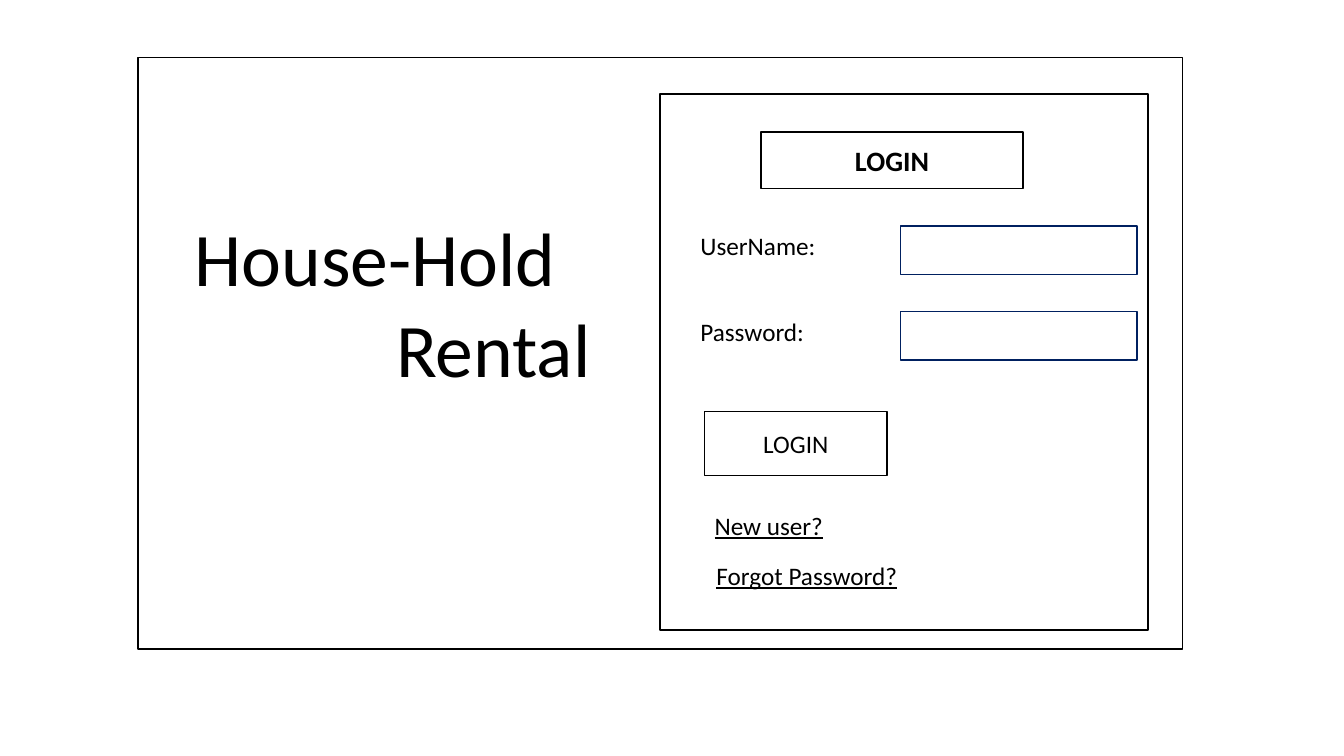
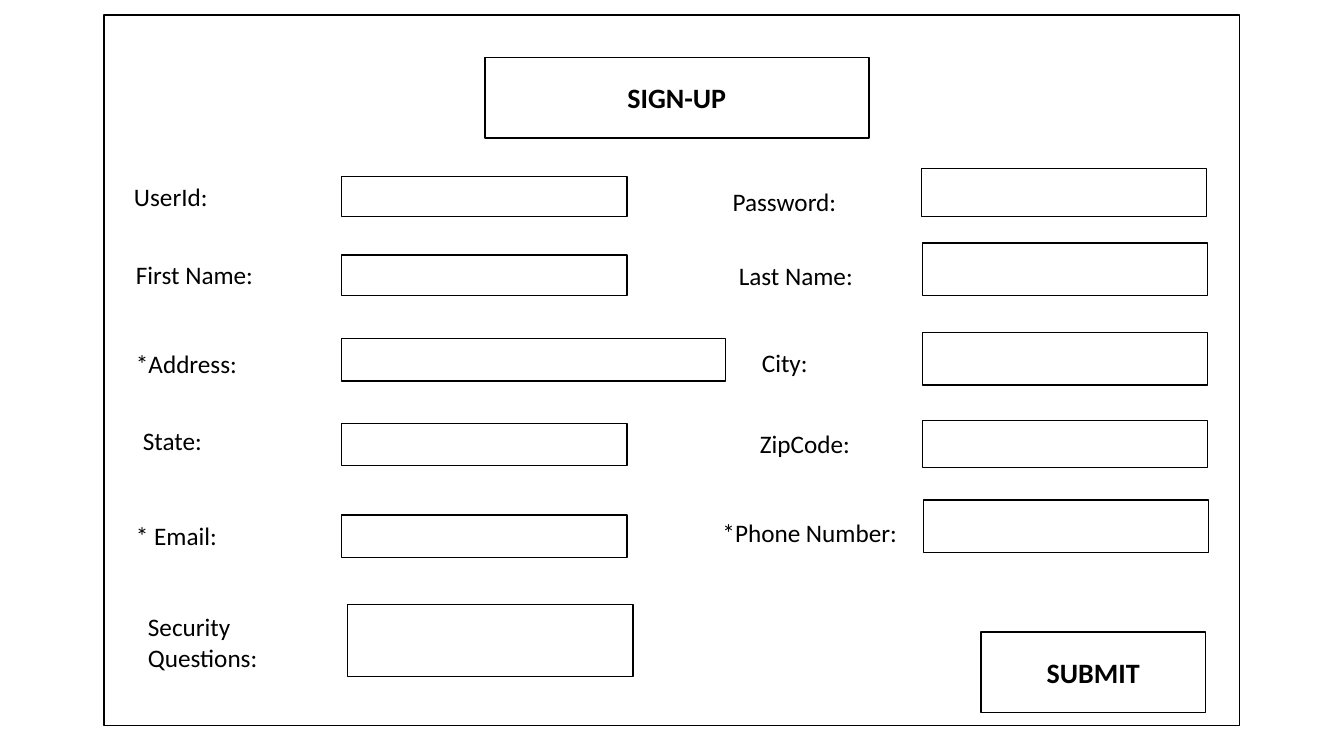
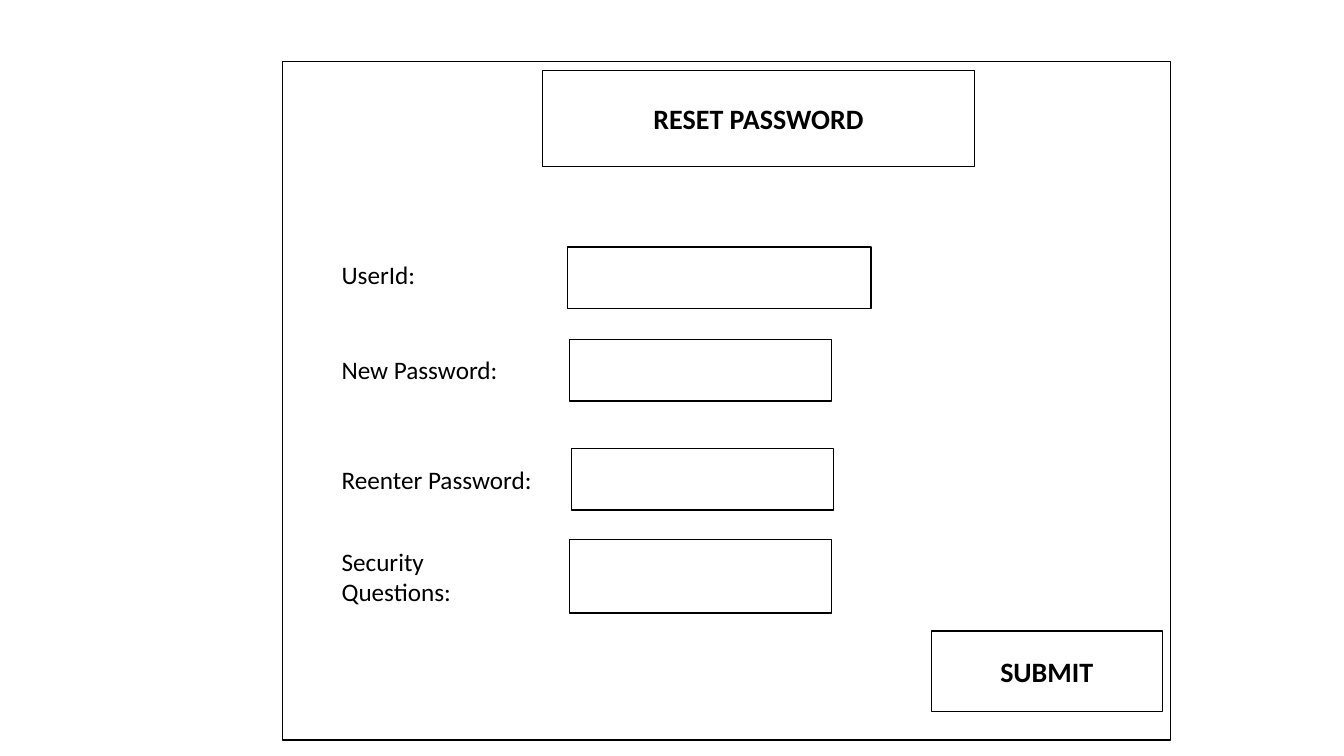
from pptx import Presentation
from pptx.dml.color import RGBColor
from pptx.enum.shapes import MSO_SHAPE
from pptx.enum.text import MSO_ANCHOR, MSO_AUTO_SIZE, PP_ALIGN
from pptx.util import Pt

# Shared look
FONT, BLACK, WHITE, NAVY = "Calibri", "000000", "FFFFFF", "002060"
BODY = {"size": Pt(18), "bold": False}
LINK = {**BODY, "underline": True}
HEADING = {"size": Pt(20), "bold": True}
DISPLAY = {"size": Pt(54), "bold": False}
LABEL_H = 28.8

# Content: rectangles are (left, top, width, height) in points;
# a field is (label, (left, top, width), input box)
SLIDES = [
    {
        "frames": [(98.6, 41, 746, 422.6), (471.6, 67, 348.5, 383)],
        "title": (["House-Hold", "Rental"], (131.8, 146.9, 297.4, 138.2)),
        "input_line": NAVY,
        "fields": [
            (label, (493.2, y, 132.5), (643, y, 169.2, 34.6))
            for label, y in [("UserName:", 161.3), ("Password:", 222.5)]
        ],
        "buttons": [
            ("LOGIN", (543.6, 94.3, 187.2, 40.3), HEADING),
            ("LOGIN", (503.3, 293.8, 130.3, 46.1), BODY),
        ],
        "links": [
            ("New user?", (503.3, 360.7, 164.2)),
            ("Forgot Password?", (504.7, 396.7, 152)),
        ],
    },
    {
        "frames": [(74.2, 10.8, 811.4, 507.6)],
        "title": (["SIGN-UP"], (346.3, 41, 274.3, 57.6)),
        "fields": [
            ("UserId:", (88.6, 126, 123.8), (244.1, 126, 203.8, 28.8)),
            ("First Name:", (90, 181.4, 123.8), (244.1, 182.2, 203.8, 28.8)),
            ("*Address:", (90, 245.5, 123.8), (244.1, 241.9, 274.3, 30.2)),
            ("State:", (95, 300.2, 123.8), (244.1, 302.4, 203.8, 30.2)),
            ("* Email:", (90, 367.9, 123.8), (244.1, 367.9, 203.8, 30.2)),
            ("Security Questions:", (98.6, 433.4, 113.8), (248.4, 432, 203.8, 51.1)),
            ("Password:", (516.2, 129.6, 123.8), (658.1, 120.2, 203.8, 34.6)),
            ("Last Name:", (520.6, 182.2, 133.2), (658.8, 173.5, 203.8, 37.4)),
            ("City:", (537.1, 244.8, 123.8), (658.8, 237.6, 203.8, 37.4)),
            ("ZipCode:", (535.7, 302.4, 123.8), (658.8, 300.2, 203.8, 33.8)),
            ("*Phone Number:", (509, 365.8, 150.5), (659.5, 357.1, 203.8, 37.4)),
        ],
        "buttons": [("SUBMIT", (700.6, 451.4, 160.6, 57.6), HEADING)],
    },
    {
        "frames": [(201.6, 43.9, 634.3, 484.6)],
        "title": (["RESET PASSWORD"], (387.4, 50.4, 308.9, 68.4)),
        "fields": [
            ("UserId:", (236.9, 181.4, 132.5), (405.4, 176.4, 216.7, 43.9)),
            ("New Password:", (236.9, 249.8, 132.5), (406.8, 242.6, 187.2, 43.9)),
            ("Reenter Password:", (236.9, 328.3, 159.1), (408.2, 320.4, 187.2, 43.9)),
            ("Security Questions:", (236.9, 386.6, 150.5), (406.8, 385.2, 187.2, 52.6)),
        ],
        "buttons": [("SUBMIT", (665.3, 450.7, 164.9, 57.6), HEADING)],
    },
]


def color(value):
    return RGBColor.from_string(value)


def outline(sp, line=BLACK):
    sp.fill.solid()
    sp.fill.fore_color.rgb = color(WHITE)
    sp.line.color.rgb = color(line)
    sp.line.width = Pt(1)


def write(sp, lines, fmt, align, anchor):
    tf = sp.text_frame
    tf.word_wrap = True
    tf.auto_size = MSO_AUTO_SIZE.NONE
    tf.vertical_anchor = anchor
    for i, line in enumerate(lines):
        p = tf.add_paragraph() if i else tf.paragraphs[0]
        p.alignment = align
        r = p.add_run()
        r.text = line
        r.font.name = FONT
        r.font.color.rgb = color(BLACK)
        for name, value in fmt.items():
            setattr(r.font, name, value)


def add_box(s, rect, line=BLACK):
    sp = s.shapes.add_shape(MSO_SHAPE.RECTANGLE, *map(Pt, rect))
    sp.shadow.inherit = False
    outline(sp, line)
    return sp


def add_label(s, text, place, fmt=BODY):
    sp = s.shapes.add_textbox(*map(Pt, (*place, LABEL_H)))
    write(sp, [text], fmt, PP_ALIGN.LEFT, MSO_ANCHOR.TOP)


def place_title(s, lines, rect):
    sp = s.shapes.title
    sp.left, sp.top, sp.width, sp.height = map(Pt, rect)
    if len(lines) > 1:
        write(sp, lines, DISPLAY, PP_ALIGN.LEFT, MSO_ANCHOR.TOP)
        # Step the second line in by two inches
        sp.text_frame.paragraphs[1]._p.get_or_add_pPr().set("marL", str(Pt(144)))
    else:
        outline(sp)
        write(sp, lines, HEADING, PP_ALIGN.CENTER, MSO_ANCHOR.MIDDLE)
    # Bring the title in front of the frame
    s.shapes._spTree.append(sp._element)


def build(prs, page):
    s = prs.slides.add_slide(prs.slide_layouts[5])
    for rect in page["frames"]:
        add_box(s, rect)
    place_title(s, *page["title"])
    for label, place, rect in page["fields"]:
        add_box(s, rect, page.get("input_line", BLACK))
        add_label(s, label, place)
    for text, rect, fmt in page["buttons"]:
        write(add_box(s, rect), [text], fmt, PP_ALIGN.CENTER, MSO_ANCHOR.MIDDLE)
    for text, place in page.get("links", []):
        add_label(s, text, place, LINK)


def main():
    prs = Presentation()
    prs.slide_width, prs.slide_height = Pt(960), Pt(540)
    for page in SLIDES:
        build(prs, page)
    prs.save("out.pptx")


if __name__ == "__main__":
    main()
